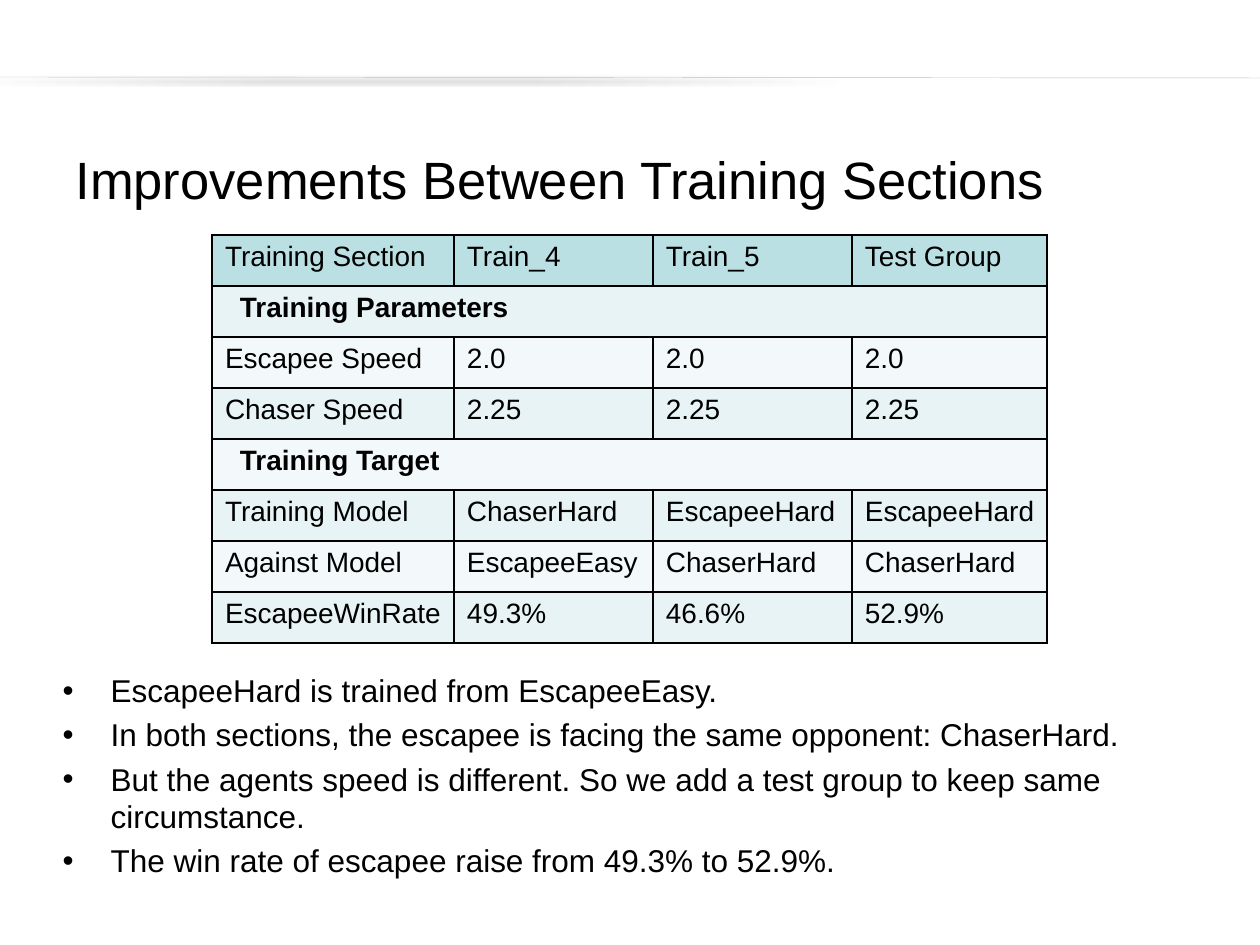
from lxml.etree import SubElement
from pptx import Presentation
from pptx.dml.color import RGBColor
from pptx.enum.shapes import MSO_CONNECTOR as Connector
from pptx.enum.text import MSO_ANCHOR as Anchor, MSO_AUTO_SIZE as AutoSize, PP_ALIGN as Align
from pptx.oxml import parse_xml
from pptx.oxml.ns import nsdecls, qn
from pptx.util import Emu, Pt

HEADER = ["Training Section", "Train_4", "Train_5", "Test Group"]
RESULTS = [
    HEADER,
    ["Training Parameters"],
    ["Escapee Speed", "2.0", "2.0", "2.0"],
    ["Chaser Speed", "2.25", "2.25", "2.25"],
    ["Training Target"],
    ["Training Model", "ChaserHard", "EscapeeHard", "EscapeeHard"],
    ["Against Model", "EscapeeEasy", "ChaserHard", "ChaserHard"],
    ["EscapeeWinRate", "49.3%", "46.6%", "52.9%"],
]
FINDINGS = [
    "EscapeeHard is trained from EscapeeEasy.",
    "In both sections, the escapee is facing the same opponent: ChaserHard.",
    "But the agents speed is different. So we add a test group to keep same circumstance.",
    "The win rate of escapee raise from 49.3% to 52.9%.",
]


def px(length):
    """Turn whole pixels at 126 to the inch into EMU."""
    return Emu(round(length * 914400 / 126))


def color(code):
    """Turn a hex string into a colour."""
    return RGBColor.from_string(code)


def write(paragraph, text, size=18, bold=False, font="Arial", ink="000000", before=0):
    """Put formatted text into a paragraph."""
    paragraph.alignment = Align.LEFT
    paragraph.space_before = Pt(before)
    run = paragraph.add_run()
    run.text = text
    run.font.name, run.font.size, run.font.bold = font, Pt(size), bold
    run.font.color.rgb = color(ink)


class SlideBuilder:
    """Hold the style and the current slide."""

    header_fill = "BBE0E3"
    band_fills = ["F3F9FA", "E7F3F4"]
    border = "000000"
    rule_color = "BFBFBF"

    def __init__(self, slide):
        """Keep the slide to build on."""
        self.slide = slide

    def place(self, placeholder, box, anchor):
        """Move a placeholder and return its text frame."""
        placeholder.left, placeholder.top, placeholder.width, placeholder.height = map(px, box)
        frame = placeholder.text_frame
        frame.word_wrap, frame.auto_size, frame.vertical_anchor = True, AutoSize.NONE, anchor
        return frame

    def rule(self, start, end):
        """Draw the thin header line with its soft shadow."""
        header_rule = self.slide.shapes.add_connector(Connector.STRAIGHT, *map(px, start + end))
        header_rule.line.color.rgb = color(self.rule_color)
        header_rule.line.width = Pt(0.25)
        header_rule._element.spPr.append(parse_xml(
            f'<a:effectLst {nsdecls("a")}><a:outerShdw blurRad="{Pt(3.1)}" dist="{Pt(1.6)}" '
            'dir="5400000" rotWithShape="0"><a:srgbClr val="000000"><a:alpha val="38000"/>'
            '</a:srgbClr></a:outerShdw></a:effectLst>'))

    def title(self, text, box):
        """Fill the title placeholder."""
        frame = self.place(self.slide.shapes.title, box, Anchor.MIDDLE)
        write(frame.paragraphs[0], text, size=30)

    def bullets(self, items, box, indent):
        """Fill the body placeholder with a bulleted list."""
        frame = self.place(self.slide.placeholders[1], box, Anchor.TOP)
        for index, item in enumerate(items):
            paragraph = frame.add_paragraph() if index else frame.paragraphs[0]
            properties = paragraph._p.get_or_add_pPr()
            properties.set("marL", str(px(indent)))
            properties.set("indent", str(-px(indent)))
            SubElement(properties, qn("a:buFont"), typeface="Arial")
            SubElement(properties, qn("a:buChar"), char="•")
            write(paragraph, item, before=3.6 if index else 0)

    def outline(self, cell):
        """Draw the four borders of a table cell."""
        properties = cell._tc.get_or_add_tcPr()
        for side in ("lnL", "lnR", "lnT", "lnB"):
            properties.append(parse_xml(
                f'<a:{side} {nsdecls("a")} w="{Pt(1)}"><a:solidFill>'
                f'<a:srgbClr val="{self.border}"/></a:solidFill></a:{side}>'))

    def table(self, rows, left, top, widths, row_height):
        """Add a banded table whose one-entry rows span all columns."""
        grid = self.slide.shapes.add_table(
            len(rows), len(widths), px(left), px(top),
            px(sum(widths)), px(row_height * len(rows))).table
        for column, width in zip(grid.columns, widths):
            column.width = px(width)
        for index, entries in enumerate(rows):
            grid.rows[index].height = px(row_height)
            section = len(entries) == 1
            for cell in grid.rows[index].cells:
                self.outline(cell)
                cell.fill.solid()
                cell.fill.fore_color.rgb = color(
                    self.band_fills[index % 2] if index else self.header_fill)
            if section:
                grid.cell(index, 0).merge(grid.cell(index, len(widths) - 1))
            for position, entry in enumerate(entries):
                cell = grid.cell(index, position)
                cell.margin_left = px(28 if section else 13)
                cell.margin_right = px(6)
                write(cell.text_frame.paragraphs[0], entry, size=16, bold=section)


def main():
    """Build and save the slide."""
    deck = Presentation()
    deck.slide_width, deck.slide_height = px(1260), px(945)
    builder = SlideBuilder(deck.slides.add_slide(deck.slide_layouts[1]))
    builder.rule((0, 77), (1260, 78))
    builder.title("Improvements Between Training Sections", (63, 123, 1134, 111))
    builder.bullets(FINDINGS, (50, 665, 1147, 625), indent=48)
    builder.table(RESULTS, 212, 235, [242, 199, 199, 195], row_height=51)
    deck.save("out.pptx")


if __name__ == "__main__":
    main()
